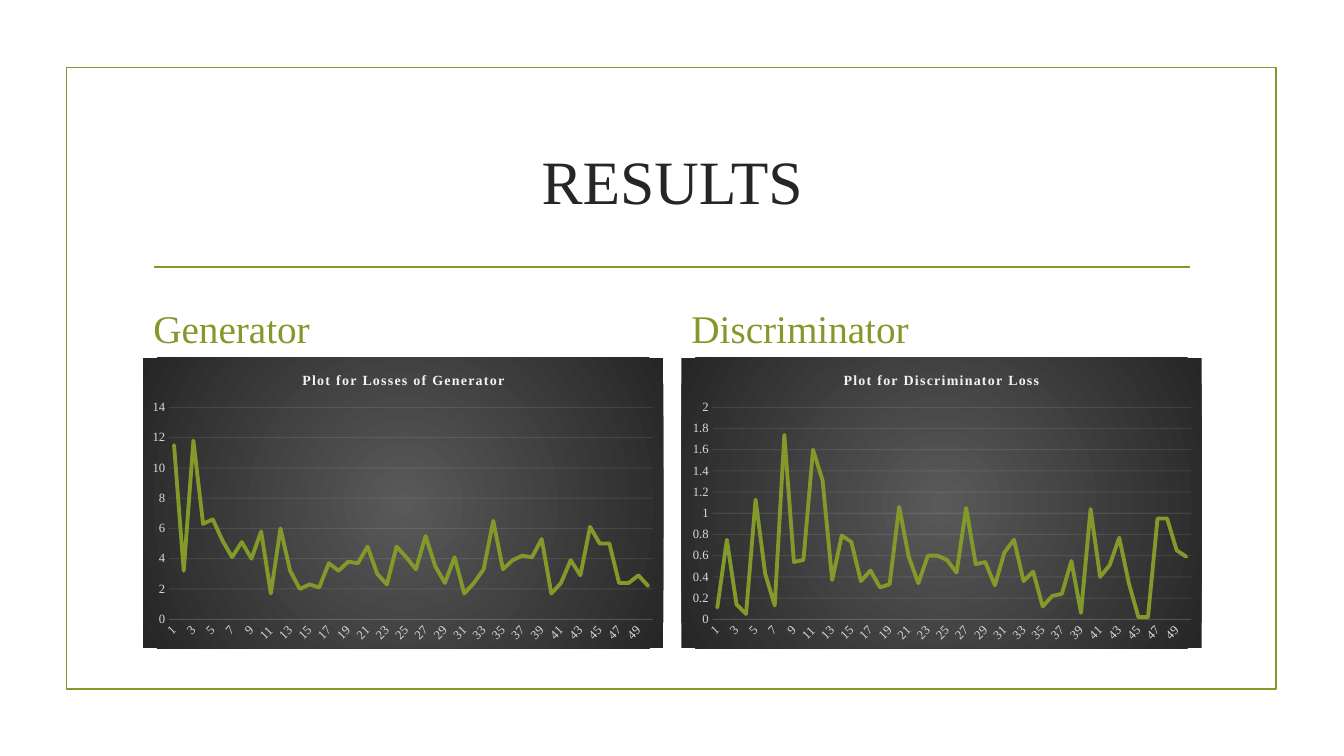
import lxml.etree
import pptx
import pptx.chart.data
import pptx.dml.color
import pptx.enum.chart
import pptx.enum.shapes
import pptx.enum.text
import pptx.oxml
import pptx.oxml.ns
import pptx.util

Cm = pptx.util.Cm
Pt = pptx.util.Pt
RGBColor = pptx.dml.color.RGBColor
qn = pptx.oxml.ns.qn

GREEN = RGBColor(0x83, 0x99, 0x2A)
INK = RGBColor(0x26, 0x26, 0x26)
CHART_CENTRE = RGBColor(0x59, 0x59, 0x59)
CHART_EDGE = RGBColor(0x26, 0x26, 0x26)
LABEL_GREY = RGBColor(0xD9, 0xD9, 0xD9)
PALE = RGBColor(0xF2, 0xF2, 0xF2)
FONT = "Times New Roman"

GENERATOR_LOSSES = [
    11.5, 3.2, 11.8, 6.3, 6.6, 5.2, 4.1, 5.1, 4, 5.8,
    1.7, 6, 3.2, 2, 2.3, 2.1, 3.7, 3.2, 3.8, 3.7,
    4.8, 3, 2.3, 4.8, 4.1, 3.3, 5.5, 3.5, 2.4, 4.1,
    1.7, 2.4, 3.3, 6.5, 3.3, 3.9, 4.2, 4.1, 5.3, 1.7,
    2.4, 3.9, 2.9, 6.1, 5, 5, 2.4, 2.4, 2.9, 2.2,
]
DISCRIMINATOR_LOSSES = [
    0.11, 0.75, 0.14, 0.05, 1.13, 0.43, 0.13, 1.74, 0.54, 0.56,
    1.6, 1.31, 0.37, 0.79, 0.73, 0.36, 0.46, 0.3, 0.33, 1.06,
    0.59, 0.34, 0.6, 0.6, 0.56, 0.44, 1.05, 0.52, 0.54, 0.32,
    0.63, 0.75, 0.36, 0.45, 0.12, 0.22, 0.24, 0.55, 0.06, 1.04,
    0.4, 0.51, 0.77, 0.34, 0.02, 0.02, 0.95, 0.95, 0.65, 0.59,
]


def format_font(font, size, color, bold=False):
    values = {"name": FONT, "size": Pt(size), "bold": bold}
    for name, value in values.items():
        setattr(font, name, value)
    font.color.rgb = color


def format_faint_line(line):
    line.width = Pt(0.75)
    line.color.rgb = PALE
    color = line.fill._xPr.find(".//" + qn("a:srgbClr"))
    lxml.etree.SubElement(color, qn("a:alpha"), val="10000")


presentation = pptx.Presentation()
presentation.slide_width = Cm(33.87)
presentation.slide_height = Cm(19.05)
comparison_layout = presentation.slide_layouts[4]
slide = presentation.slides.add_slide(comparison_layout)
placeholders = {shape.placeholder_format.idx: shape for shape in slide.placeholders}

# Frame and rule
frame = slide.shapes.add_shape(
    pptx.enum.shapes.MSO_SHAPE.RECTANGLE, Cm(1.68), Cm(1.7), Cm(30.48), Cm(15.67)
)
frame.shadow.inherit = False
frame.fill.background()
rule = slide.shapes.add_connector(
    pptx.enum.shapes.MSO_CONNECTOR.STRAIGHT, Cm(3.89), Cm(6.73), Cm(30), Cm(6.73)
)
for shape in (frame, rule):
    shape.line.color.rgb = GREEN
    shape.line.width = Pt(1.25)
lxml.etree.SubElement(rule._element.spPr, qn("a:effectLst"))

# Title and column headings
MIDDLE = pptx.enum.text.MSO_ANCHOR.MIDDLE
BOTTOM = pptx.enum.text.MSO_ANCHOR.BOTTOM
CENTER = pptx.enum.text.PP_ALIGN.CENTER
LEFT = pptx.enum.text.PP_ALIGN.LEFT
LEFT_COLUMN, RIGHT_COLUMN = 3.61, 17.17
COLUMN_WIDTH = 13.11
texts = [
    (0, "RESULTS", (LEFT_COLUMN, 2.72, 26.67, 3.63), 44, INK, MIDDLE, CENTER),
    (1, "Generator", (LEFT_COLUMN, 6.96, COLUMN_WIDTH, 2.01), 28, GREEN, BOTTOM, LEFT),
    (3, "Discriminator", (RIGHT_COLUMN, 7.39, COLUMN_WIDTH, 1.6), 28, GREEN, BOTTOM, LEFT),
]
for index, text, box, size, color, anchor, alignment in texts:
    shape = placeholders[index]
    for name, value in zip(("left", "top", "width", "height"), box):
        setattr(shape, name, Cm(value))
    text_frame = shape.text_frame
    text_frame.text = text
    text_frame.auto_size = pptx.enum.text.MSO_AUTO_SIZE.NONE
    text_frame.vertical_anchor = anchor
    paragraph = text_frame.paragraphs[0]
    paragraph.alignment = alignment
    if index:
        paragraph.space_before = Pt(6.7)
        paragraph.space_after = Pt(6)
    format_font(paragraph.runs[0].font, size, color)

for index in (2, 4):
    element = placeholders[index]._element
    element.getparent().remove(element)

# Loss charts
CHART_BACKGROUND = f"""
<c:spPr xmlns:c="http://schemas.openxmlformats.org/drawingml/2006/chart"
        xmlns:a="http://schemas.openxmlformats.org/drawingml/2006/main">
  <a:gradFill>
    <a:gsLst>
      <a:gs pos="0"><a:srgbClr val="{CHART_CENTRE}"/></a:gs>
      <a:gs pos="100000"><a:srgbClr val="{CHART_EDGE}"/></a:gs>
    </a:gsLst>
    <a:path path="circle"><a:fillToRect l="50000" t="50000" r="50000" b="50000"/></a:path>
  </a:gradFill>
  <a:ln><a:noFill/></a:ln>
</c:spPr>"""
NO_TICKS = pptx.enum.chart.XL_TICK_MARK.NONE
charts = [
    (LEFT_COLUMN, "Plot for Losses of Generator", GENERATOR_LOSSES, 14, 2, 0.05),
    (RIGHT_COLUMN, "Plot for Discriminator Loss", DISCRIMINATOR_LOSSES, 2, 0.2, 0.06),
]
for left, title, losses, maximum, step, plot_left in charts:
    chart_data = pptx.chart.data.CategoryChartData()
    chart_data.categories = [str(number) for number in range(1, len(losses) + 1)]
    chart_data.add_series("Series 1", losses)
    chart = slide.shapes.add_chart(
        pptx.enum.chart.XL_CHART_TYPE.LINE,
        Cm(left), Cm(9.02), Cm(COLUMN_WIDTH), Cm(7.32), chart_data,
    ).chart
    chart.has_legend = False
    format_font(chart.font, 10, LABEL_GREY)
    chart._chartSpace.chart.addnext(pptx.oxml.parse_xml(CHART_BACKGROUND))

    chart.has_title = True
    title_frame = chart.chart_title.text_frame
    title_frame.text = title
    title_font = title_frame.paragraphs[0].runs[0].font
    format_font(title_font, 10, PALE, bold=True)
    title_font._element.set("spc", "100")
    chart.chart_title.include_text_in_layout = False

    plot = chart.plots[0]
    plot.vary_by_categories = False
    series = plot.series[0]
    series.smooth = False
    series.format.line.color.rgb = GREEN
    series.format.line.width = Pt(2.75)
    series.format.line.fill._xPr.set("cap", "rnd")

    category_axis, value_axis = chart.category_axis, chart.value_axis
    for axis in (category_axis, value_axis):
        axis.major_tick_mark = NO_TICKS
        axis.minor_tick_mark = NO_TICKS
        format_font(axis.tick_labels.font, 9, LABEL_GREY)
    format_faint_line(category_axis.format.line)
    category_element = category_axis._element
    category_element.find(qn("c:txPr")).find(qn("a:bodyPr")).set("rot", "-2700000")
    label_skip = lxml.etree.Element(qn("c:tickLblSkip"), val="2")
    category_element.find(qn("c:lblOffset")).addnext(label_skip)

    scale = {"minimum_scale": 0, "maximum_scale": maximum, "major_unit": step}
    for name, value in scale.items():
        setattr(value_axis, name, value)
    value_axis.tick_labels.number_format = "General"
    value_axis.tick_labels.number_format_is_linked = False
    value_axis.format.line.fill.background()
    format_faint_line(value_axis.major_gridlines.format.line)

    plot_area = chart._chartSpace.chart.plotArea
    for old_layout in plot_area.findall(qn("c:layout")):
        plot_area.remove(old_layout)
    layout = lxml.etree.Element(qn("c:layout"))
    manual_layout = lxml.etree.SubElement(layout, qn("c:manualLayout"))
    plot_position = {
        "layoutTarget": "inner", "xMode": "edge", "yMode": "edge",
        "x": plot_left, "y": 0.17, "w": round(0.98 - plot_left, 2), "h": 0.73,
    }
    for name, value in plot_position.items():
        lxml.etree.SubElement(manual_layout, qn(f"c:{name}"), val=str(value))
    plot_area.insert(0, layout)

presentation.save("out.pptx")
